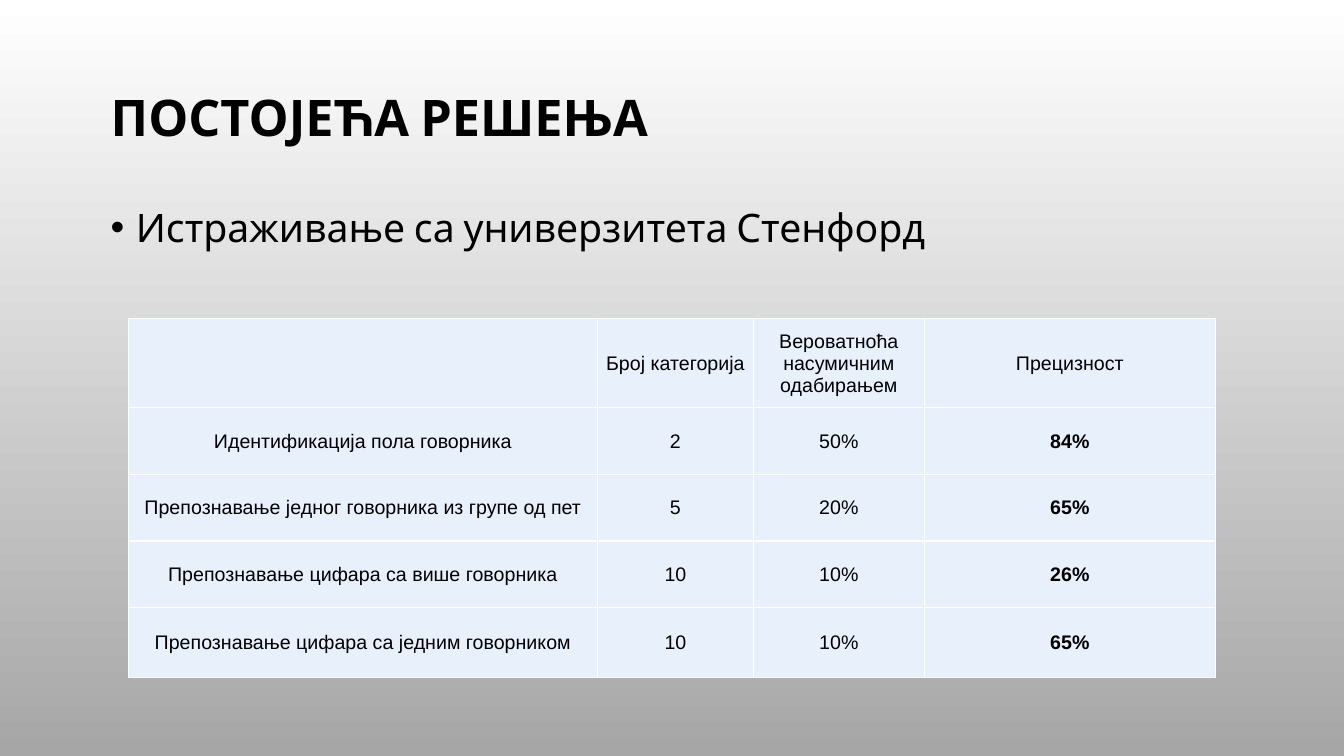
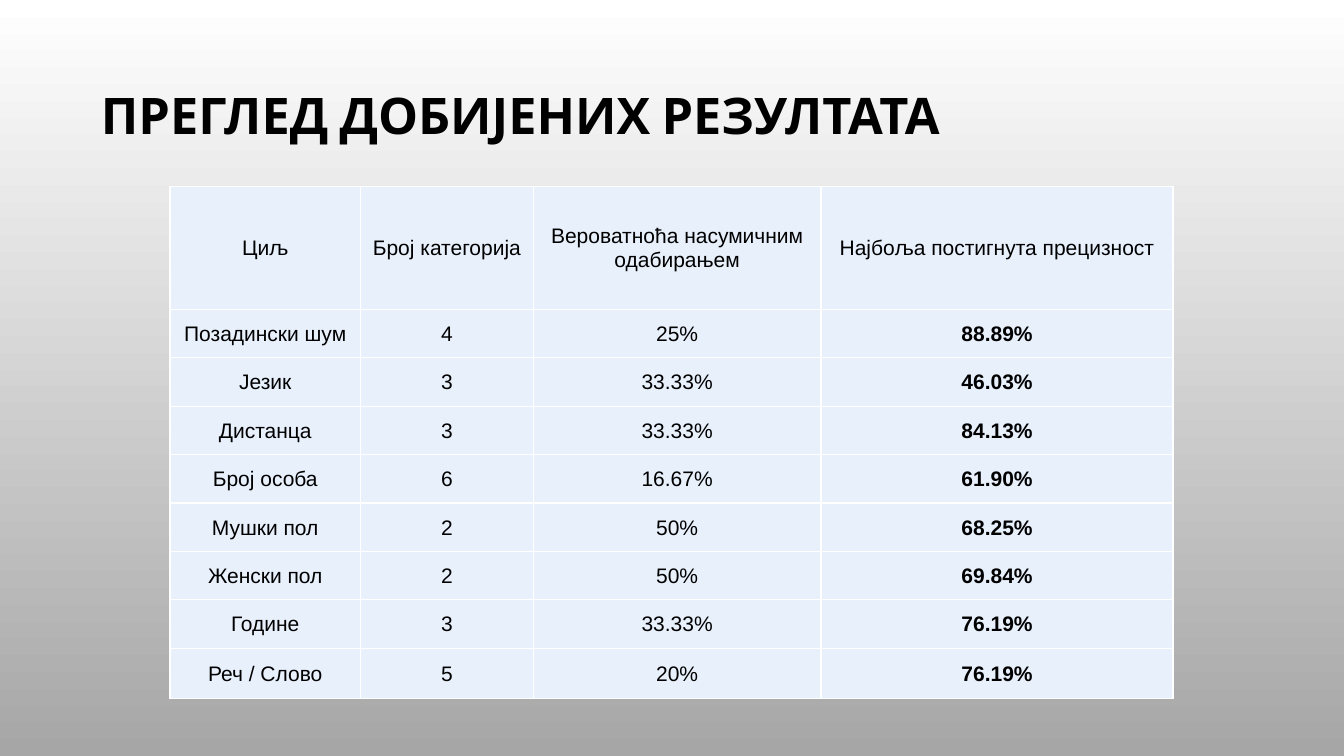
from lxml import etree
from pptx import Presentation
from pptx.dml.color import RGBColor
from pptx.enum.text import MSO_ANCHOR, PP_ALIGN
from pptx.oxml.ns import qn
from pptx.util import Pt

MIDDLE = MSO_ANCHOR.MIDDLE
TOP = MSO_ANCHOR.TOP
CENTER = PP_ALIGN.CENTER
LEFT = PP_ALIGN.LEFT

BLACK = RGBColor(0x00, 0x00, 0x00)
WHITE = RGBColor(0xFF, 0xFF, 0xFF)
GRAY = RGBColor(0xA6, 0xA6, 0xA6)
PALE_BLUE = RGBColor(0xE8, 0xF0, 0xFC)

HEADING_FONT = "Cabin"
TABLE_FONT = "Arial"
TEXT_WIDTH = 816
TITLE_HEIGHT = 126
BULLET_HEIGHT = 269
BULLET_INDENT = 18


class Deck:
    def __init__(self):
        self.prs = Presentation()
        self.prs.slide_width, self.prs.slide_height = Pt(960), Pt(540)
        self.s = None

    def slide(self):
        self.s = self.prs.slides.add_slide(self.prs.slide_layouts[6])
        fill = self.s.background.fill
        fill.gradient()
        fill.gradient_angle = 270
        for stop, color in zip(fill.gradient_stops, (WHITE, GRAY)):
            stop.color.rgb = color

    def style(self, p, font, size, bold=False, align=LEFT):
        p.alignment = align
        p.font.name = font
        p.font.size = Pt(size)
        p.font.bold = bold
        p.font.color.rgb = BLACK

    def text(self, text, x, y, height, anchor, size, spacing, bold=False):
        sp = self.s.shapes.add_textbox(Pt(x), Pt(y), Pt(TEXT_WIDTH), Pt(height))
        tf = sp.text_frame
        tf.word_wrap = True
        tf.vertical_anchor = anchor
        p = tf.paragraphs[0]
        p.text = text
        p.line_spacing = spacing
        self.style(p, HEADING_FONT, size, bold)
        return p

    def title(self, text, x, y):
        self.text(text, x, y, TITLE_HEIGHT, MIDDLE, 36, 0.9, bold=True)

    def bullet(self, text, x, y):
        p = self.text(text, x, y, BULLET_HEIGHT, TOP, 28, 1.2)
        p.space_before = Pt(10)
        pPr = p._p.get_or_add_pPr()
        pPr.set("marL", str(Pt(BULLET_INDENT)))
        pPr.set("indent", str(-Pt(BULLET_INDENT)))
        bullet_font = etree.Element(qn("a:buFont"), typeface=TABLE_FONT)
        bullet_char = etree.Element(qn("a:buChar"), char="•")
        at = pPr.index(pPr.find(qn("a:defRPr")))
        pPr[at:at] = [bullet_font, bullet_char]

    def borders(self, cell):
        tcPr = cell._tc.get_or_add_tcPr()
        for side in ("a:lnL", "a:lnR", "a:lnT", "a:lnB"):
            ln = etree.SubElement(tcPr, qn(side), w=str(Pt(1)))
            fill = etree.SubElement(ln, qn("a:solidFill"))
            etree.SubElement(fill, qn("a:srgbClr"), val=str(WHITE))

    def cell(self, cell, text, size, bold):
        self.borders(cell)
        cell.fill.solid()
        cell.fill.fore_color.rgb = PALE_BLUE
        cell.vertical_anchor = MIDDLE
        cell.margin_left = cell.margin_right = cell.margin_top = Pt(0.75)
        cell.margin_bottom = Pt(0)
        p = cell.text_frame.paragraphs[0]
        p.text = text
        self.style(p, TABLE_FONT, size, bold, CENTER)

    def table(self, rows, x, y, widths, heights, size):
        frame = self.s.shapes.add_table(
            len(rows), len(widths), Pt(x), Pt(y), Pt(sum(widths)), Pt(sum(heights))
        )
        table = frame.table
        table.first_row = table.horz_banding = False
        for column, width in zip(table.columns, widths):
            column.width = Pt(width)
        for row, height in zip(table.rows, heights):
            row.height = Pt(height)
        last = len(widths) - 1
        for i, values in enumerate(rows):
            for j, value in enumerate(values):
                self.cell(table.cell(i, j), value, size, i > 0 and j == last)


EXISTING = [
    ("", "Број категорија", "Вероватноћа насумичним одабирањем", "Прецизност"),
    ("Идентификација пола говорника", "2", "50%", "84%"),
    ("Препознавање једног говорника из групе од пет", "5", "20%", "65%"),
    ("Препознавање цифара са више говорника", "10", "10%", "26%"),
    ("Препознавање цифара са једним говорником", "10", "10%", "65%"),
]

RESULTS = [
    ("Циљ", "Број категорија", "Вероватноћа насумичним одабирањем",
     "Најбоља постигнута прецизност"),
    ("Позадински шум", "4", "25%", "88.89%"),
    ("Језик", "3", "33.33%", "46.03%"),
    ("Дистанца", "3", "33.33%", "84.13%"),
    ("Број особа", "6", "16.67%", "61.90%"),
    ("Мушки пол", "2", "50%", "68.25%"),
    ("Женски пол", "2", "50%", "69.84%"),
    ("Године", "3", "33.33%", "76.19%"),
    ("Реч / Слово", "5", "20%", "76.19%"),
]


def main():
    deck = Deck()

    deck.slide()
    deck.title("ПОСТОЈЕЋА РЕШЕЊА", 72, 23)
    deck.bullet("Истраживање са универзитета Стенфорд", 72, 135)
    deck.table(EXISTING, 91.5, 227.5, [335.5, 111, 122.5, 207.5],
               [63.5] + [47.75] * 3 + [49.5], 14)

    deck.slide()
    deck.title("ПРЕГЛЕД ДОБИЈЕНИХ РЕЗУЛТАТА", 65, 21.5)
    deck.table(RESULTS, 121.5, 133, [136, 123.5, 205.5, 251.5],
               [88] + [34.6] * 7 + [36], 15)

    deck.prs.save("out.pptx")


if __name__ == "__main__":
    main()
